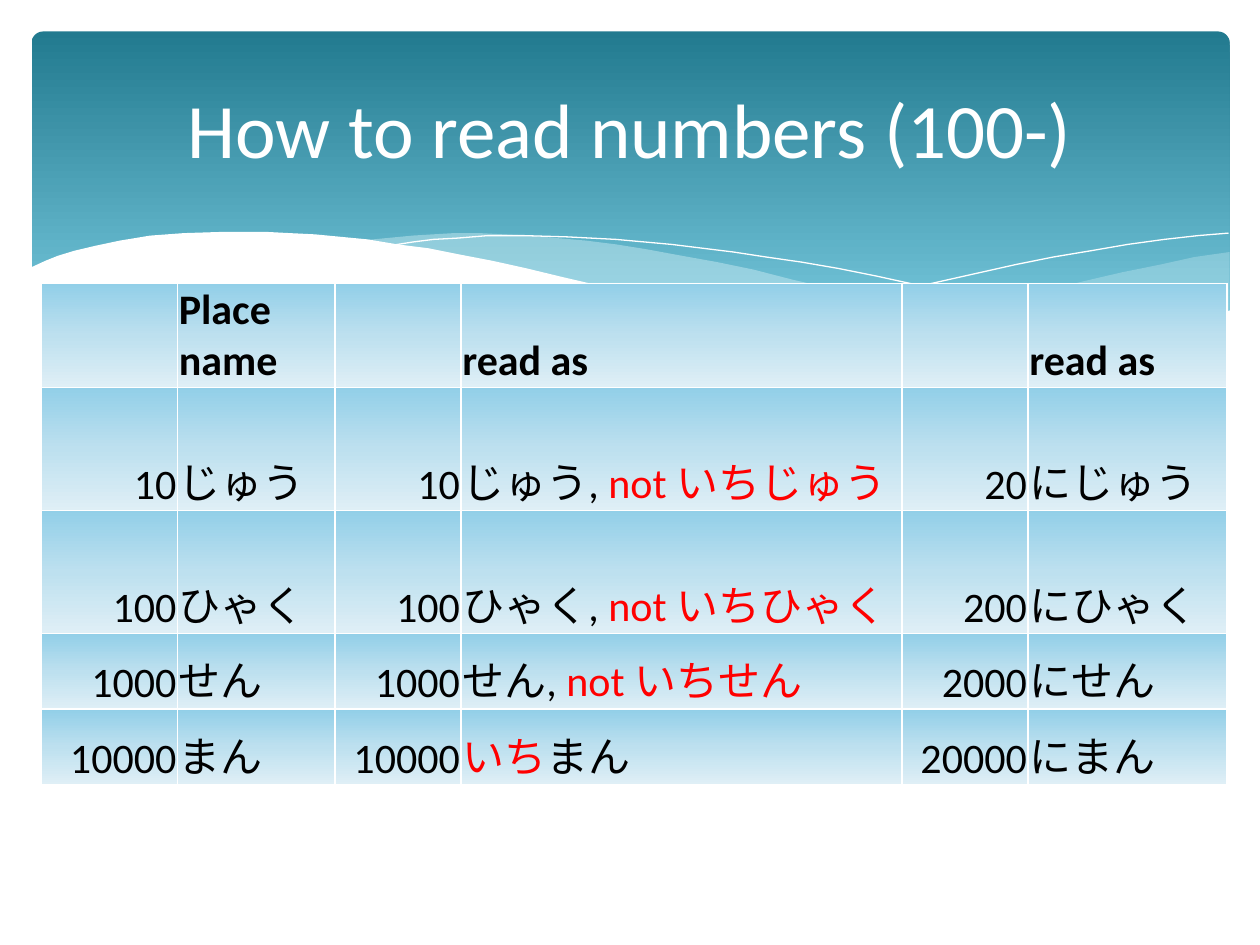
from lxml import etree
from pptx import Presentation
from pptx import util as u
from pptx.dml.color import RGBColor
from pptx.enum import shapes, text
from pptx.oxml.ns import qn

FONT = "Calibri"
WHITE, BLACK, RED = "FFFFFF", "000000", "FF0000"
BAND = [(0, "227A8F"), (90, "7ACBE0")]
CELL = [(0, "92CFE8"), (50, "BDE0EF"), (100, "DFEFF6")]

CREST = [
    (9.76, 2), (9.48, 2.04), (9.21, 2.1), (8.91, 2.16), (8.61, 2.23),
    (8.05, 2.37), (7.53, 2.48), (7.06, 2.57), (6.61, 2.65), (6.91, 2.69),
    (7.19, 2.72), (7.45, 2.75), (7.69, 2.77), (8.03, 2.78), (8.35, 2.77),
    (8.63, 2.75), (8.89, 2.72), (9.13, 2.67), (9.35, 2.62), (9.49, 2.57),
    (9.63, 2.52), (9.76, 2.47)]
SWELL = [
    (8.93, 2.73), (8.66, 2.69), (8.37, 2.65), (8.07, 2.6), (7.75, 2.54),
    (7.41, 2.47), (7.06, 2.4), (6.68, 2.31), (6.29, 2.22), (5.98, 2.14),
    (5.69, 2.08), (5.41, 2.03), (5.14, 1.98), (4.89, 1.94), (4.65, 1.91),
    (4.42, 1.89), (4.2, 1.87), (3.99, 1.86), (3.8, 1.85), (3.61, 1.85),
    (3.28, 1.87), (2.86, 1.91), (3.23, 1.96), (3.62, 2.03), (4.04, 2.11),
    (4.49, 2.22), (4.91, 2.32), (5.3, 2.4), (5.66, 2.48), (6.01, 2.55),
    (6.34, 2.61), (6.65, 2.66), (6.95, 2.7), (7.22, 2.74), (7.48, 2.76),
    (7.85, 2.78), (8.28, 2.78), (8.57, 2.77), (8.76, 2.75)]
ARC = [
    (3.09, 1.95), (3.28, 1.92), (3.44, 1.9), (3.63, 1.89), (3.87, 1.87),
    (4.16, 1.87), (4.5, 1.88), (4.89, 1.9), (5.33, 1.94), (5.82, 2),
    (6.08, 2.04), (6.36, 2.08), (6.65, 2.13), (6.95, 2.19), (7.27, 2.26),
    (7.6, 2.33), (7.95, 2.41), (8.31, 2.51), (8.69, 2.61), (9.07, 2.72)]
RISE = [
    (6.13, 2.57), (6.53, 2.46), (6.95, 2.35), (7.48, 2.23), (8.06, 2.1),
    (8.36, 2.04), (8.66, 1.99), (8.95, 1.94), (9.24, 1.9), (9.51, 1.87),
    (9.75, 1.85)]
FRONT = [
    (9.77, 2.46), (9.59, 2.53), (9.4, 2.59), (9.2, 2.65), (8.99, 2.69),
    (8.75, 2.73), (8.5, 2.75), (8.23, 2.77), (7.93, 2.76), (7.61, 2.75),
    (7.26, 2.72), (6.88, 2.68), (6.48, 2.62), (6.03, 2.54), (5.55, 2.45),
    (5.03, 2.33), (4.47, 2.2), (4.18, 2.13), (3.91, 2.07), (3.65, 2.02),
    (3.4, 1.97), (3.16, 1.94), (2.92, 1.9), (2.71, 1.88), (2.5, 1.86),
    (2.3, 1.85), (2.11, 1.84), (1.77, 1.84), (1.46, 1.85), (1.19, 1.87),
    (0.95, 1.91), (0.76, 1.95), (0.59, 1.99), (0.46, 2.03), (0.36, 2.07),
    (0.23, 2.13), (0.23, 3.29), (9.77, 3.29)]

COLS = [1.08, 1.25, 1, 3.5, 1, 1.58]
HEAD = ["", "Place name", "", "read as", "", "read as"]
# power of ten, place name, runs for its reading
ROWS = [
    (10, "じゅう", [("じゅう, ", BLACK), ("not いちじゅう", RED)]),
    (100, "ひゃく", [("ひゃく, ", BLACK), ("not いちひゃく", RED)]),
    (1000, "せん", [("せん, ", BLACK), ("not いちせん", RED)]),
    (10000, "まん", [("いち", RED), ("まん", BLACK)])]


def rgb(code):
    return RGBColor.from_string(code)


def add(node, tag, **attrs):
    return etree.SubElement(node, qn(tag), attrs)


def write(frame, runs, size=24, bold=False, align=text.PP_ALIGN.LEFT):
    """Fill the first paragraph with (words, colour) runs."""
    para = frame.paragraphs[0]
    para.alignment = align
    for words, color in runs:
        run = para.add_run()
        run.text = words
        font = run.font
        font.name, font.size, font.bold = FONT, u.Pt(size), bold
        font.color.rgb = rgb(color)


def shade(fill, props, stops):
    """Give a top-to-bottom gradient; props is the element that holds it."""
    fill.gradient()
    grad = props.find(qn("a:gradFill"))
    for child in list(grad):
        grad.remove(child)
    group = add(grad, "a:gsLst")
    for place, color in stops:
        stop = add(group, "a:gs", pos=str(place * 1000))
        add(stop, "a:srgbClr", val=color)
    add(grad, "a:lin", ang="5400000", scaled="0")


def band(slide):
    box = slide.shapes.add_shape(
        shapes.MSO_SHAPE.ROUNDED_RECTANGLE,
        u.Inches(0.25), u.Inches(0.25), u.Inches(9.51), u.Inches(2.7))
    box.adjustments[0] = 0.034
    box.shadow.inherit = False
    box.line.fill.background()
    shade(box.fill, box._element.spPr, BAND)


def wave(slide, points, fill=None, alpha=100):
    """Draw a filled wave, or an open white hairline when fill is None."""
    pts = [(u.Inches(x), u.Inches(y)) for x, y in points]
    pen = slide.shapes.build_freeform(*pts[0])
    pen.add_line_segments(pts[1:], close=fill is not None)
    shape = pen.convert_to_shape()
    shape.shadow.inherit = False
    if fill is None:
        shape.fill.background()
        shape.line.color.rgb = rgb(WHITE)
        shape.line.width = u.Pt(0)
        return
    shape.line.fill.background()
    shape.fill.solid()
    shape.fill.fore_color.rgb = rgb(fill)
    if alpha < 100:
        color = shape._element.spPr.find(qn("a:solidFill"))[0]
        add(color, "a:alpha", val=str(alpha * 1000))


def style(cell):
    props = cell._tc.get_or_add_tcPr()
    for side in ("a:lnL", "a:lnR", "a:lnT", "a:lnB"):
        edge = add(props, side, w=str(u.Pt(1)))
        add(add(edge, "a:solidFill"), "a:srgbClr", val=WHITE)
    shade(cell.fill, props, CELL)


def put(cell, runs, **form):
    cell.vertical_anchor = text.MSO_ANCHOR.BOTTOM
    cell.margin_left = cell.margin_right = cell.margin_top = u.Inches(0.01)
    cell.margin_bottom = 0
    write(cell.text_frame, runs, **form)


def grid(slide):
    frame = slide.shapes.add_table(
        len(ROWS) + 1, len(COLS), u.Inches(0.33), u.Inches(2.25),
        u.Inches(sum(COLS)), u.Inches(0.6 * (len(ROWS) + 1)))
    table = frame.table
    table.first_row = table.horz_banding = False
    for col, width in zip(table.columns, COLS):
        col.width = u.Inches(width)
    for cell in table.iter_cells():
        style(cell)
    for c, label in enumerate(HEAD):
        if label:
            put(table.cell(0, c), [(label, BLACK)], bold=True)
    for r, (num, name, runs) in enumerate(ROWS, 1):
        for c, value in ((0, num), (2, num), (4, 2 * num)):
            put(table.cell(r, c), [(str(value), BLACK)],
                align=text.PP_ALIGN.RIGHT)
        put(table.cell(r, 1), [(name, BLACK)])
        put(table.cell(r, 3), runs)
        put(table.cell(r, 5), [("に" + name, BLACK)])


def head(slide, words):
    """Fill the title and bring it in front of the band."""
    title = slide.shapes.title
    title.left, title.top = u.Inches(0.5), u.Inches(0.33)
    title.width, title.height = u.Inches(9), u.Inches(1.37)
    title.text_frame.vertical_anchor = text.MSO_ANCHOR.MIDDLE
    write(title.text_frame, [(words, WHITE)], size=44,
          align=text.PP_ALIGN.CENTER)
    slide.shapes._spTree.append(title._element)


def main():
    deck = Presentation()
    deck.slide_width, deck.slide_height = u.Inches(10), u.Inches(7.5)
    slide = deck.slides.add_slide(deck.slide_layouts[5])
    band(slide)
    wave(slide, CREST, "DEF5FA", 29)
    wave(slide, SWELL, "DEF5FA", 40)
    wave(slide, ARC)
    wave(slide, RISE)
    wave(slide, FRONT, WHITE)
    grid(slide)
    head(slide, "How to read numbers (100-)")
    deck.save("out.pptx")


if __name__ == "__main__":
    main()
